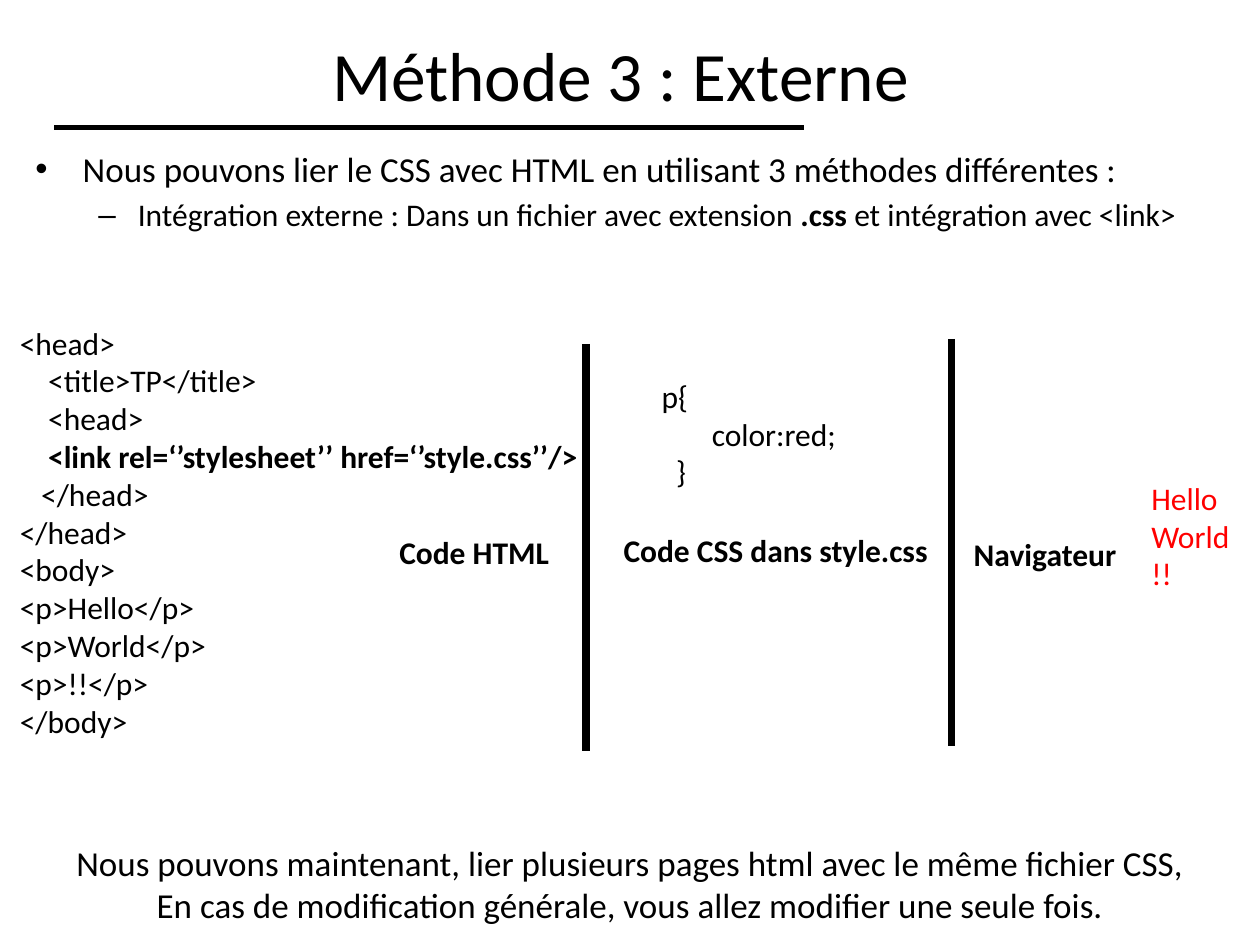
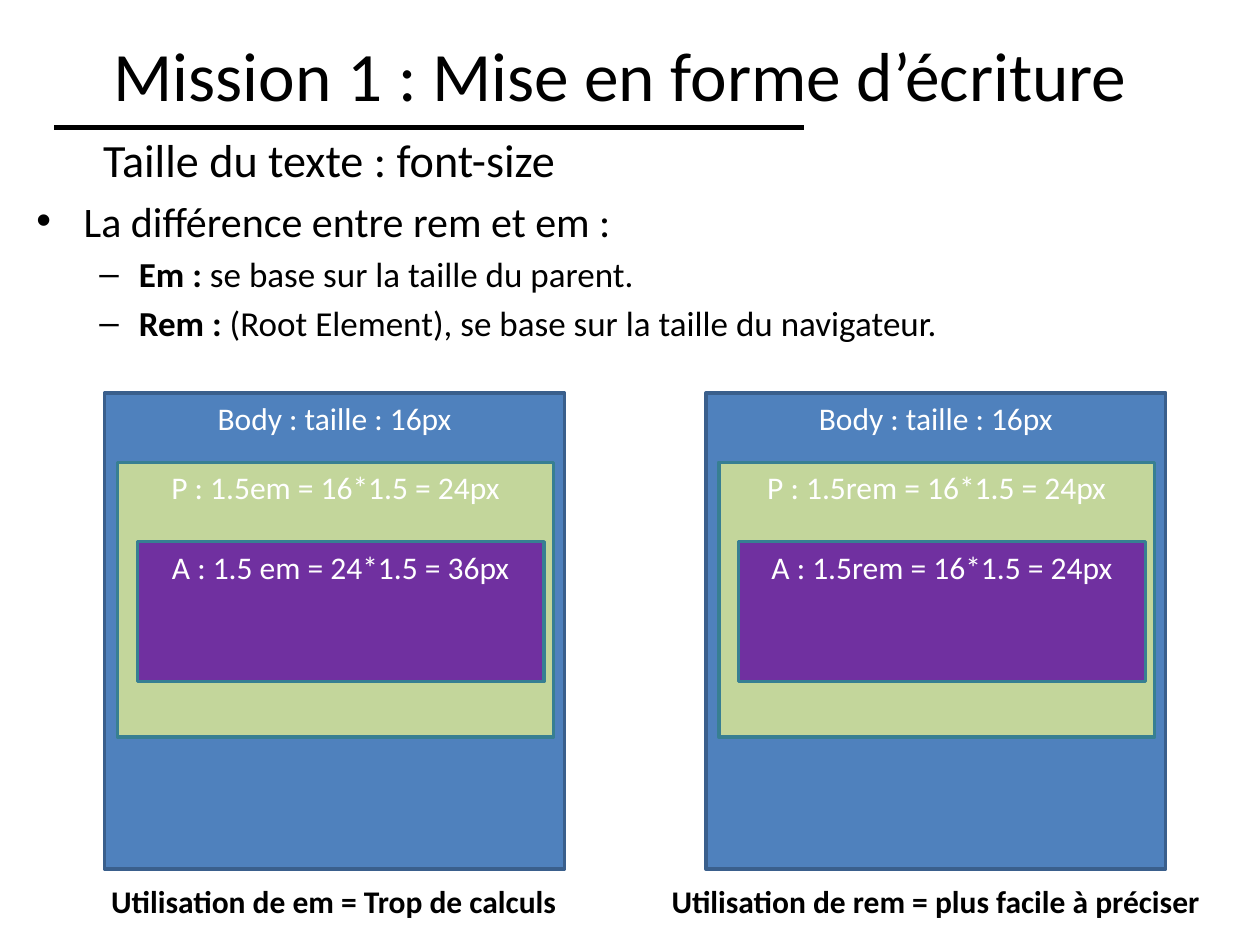
from dataclasses import dataclass

from lxml import etree
from pptx import Presentation
from pptx.dml.color import RGBColor
from pptx.enum.shapes import MSO_CONNECTOR, MSO_SHAPE
from pptx.enum.text import MSO_ANCHOR, MSO_AUTO_SIZE, PP_ALIGN
from pptx.oxml.ns import qn
from pptx.util import Cm, Pt

LEFT, CENTER = PP_ALIGN.LEFT, PP_ALIGN.CENTER
TOP, MIDDLE = MSO_ANCHOR.TOP, MSO_ANCHOR.MIDDLE
NO_FIT, GROW = MSO_AUTO_SIZE.NONE, MSO_AUTO_SIZE.SHAPE_TO_FIT_TEXT
RECT, STRAIGHT = MSO_SHAPE.RECTANGLE, MSO_CONNECTOR.STRAIGHT


@dataclass(frozen=True)
class Theme:
    font: str = "Calibri"
    # Colours
    ink: str = "000000"
    white: str = "FFFFFF"
    red: str = "FF0000"
    blue: str = "4F81BD"
    blue_edge: str = "3A5F8C"
    green: str = "C3D69B"
    purple: str = "7030A0"
    teal_edge: str = "377F92"
    # Type sizes and line widths
    title: float = 39.6
    subtitle: float = 26.4
    large: float = 24
    medium: float = 20
    normal: float = 18
    rule: float = 3
    divider: float = 4.5
    edge: float = 2


class Deck:
    """Holds the style and the slide being built."""

    def __init__(self, theme):
        self.t = theme
        self.prs = Presentation()
        self.prs.slide_width, self.prs.slide_height = Cm(25.4), Cm(19.05)
        self.s = None

    def _runs(self, p, runs, size, color=None, bold=False):
        """Add plain strings, or (text, bold) pairs, to a paragraph."""
        for item in runs:
            text, is_bold = (item, bold) if isinstance(item, str) else item
            r = p.add_run()
            r.text = text
            r.font.name = self.t.font
            r.font.size = Pt(size)
            r.font.bold = is_bold
            r.font.color.rgb = RGBColor.from_string(color or self.t.ink)

    def _place(self, sp, box):
        sp.left, sp.top, sp.width, sp.height = map(Cm, box)
        sp.text_frame.auto_size = NO_FIT
        return sp.text_frame

    def slide(self, title):
        """Start a slide with its title and the rule below it."""
        self.s = self.prs.slides.add_slide(self.prs.slide_layouts[1])
        tf = self._place(self.s.shapes.title, (0.71, 0.89, 23.6, 1.19))
        tf.vertical_anchor = MIDDLE
        tf.paragraphs[0].alignment = CENTER
        self._runs(tf.paragraphs[0], [title], self.t.title)
        self.line(1.09, 2.57, 16.21, 2.57, self.t.rule)

    def bullets(self, box, items, sizes):
        """Fill the body with (level, runs) items; sizes go by level."""
        tf = self._place(self.s.placeholders[1], box)
        for i, (level, runs) in enumerate(items):
            p = tf.add_paragraph() if i else tf.paragraphs[0]
            p.level = level
            self._runs(p, runs, sizes[level])

    def text(self, box, lines, size=None, color=None, bold=False, align=LEFT,
             anchor=TOP, wrap=True, fit=NO_FIT, before=0):
        """Add a text box from (indent in cm, runs) lines."""
        tf = self.s.shapes.add_textbox(*map(Cm, box)).text_frame
        tf.word_wrap, tf.auto_size, tf.vertical_anchor = wrap, fit, anchor
        for i, (indent, runs) in enumerate(lines):
            p = tf.add_paragraph() if i else tf.paragraphs[0]
            p.alignment = align
            p.space_before = Pt(before)
            if indent:
                p._p.get_or_add_pPr().set("marL", str(Cm(indent)))
            self._runs(p, runs, size or self.t.normal, color, bold)

    def label(self, box, text):
        self.text(box, [(0, [text])], bold=True, wrap=False, fit=GROW)

    def line(self, x1, y1, x2, y2, width):
        c = self.s.shapes.add_connector(STRAIGHT, *map(Cm, (x1, y1, x2, y2)))
        c.line.color.rgb = RGBColor.from_string(self.t.ink)
        c.line.width = Pt(width)
        etree.SubElement(c.element.spPr, qn("a:effectLst"))

    def rect(self, box, text, fill, edge):
        sp = self.s.shapes.add_shape(RECT, *map(Cm, box))
        sp.shadow.inherit = False
        sp.fill.solid()
        sp.fill.fore_color.rgb = RGBColor.from_string(fill)
        sp.line.color.rgb = RGBColor.from_string(edge)
        sp.line.width = Pt(self.t.edge)
        tf = sp.text_frame
        tf.word_wrap, tf.vertical_anchor = True, TOP
        tf.paragraphs[0].alignment = CENTER
        self._runs(tf.paragraphs[0], [text], self.t.normal, self.t.white)


def external_css(d):
    t = d.t
    d.slide("Méthode 3 : Externe")
    d.bullets((0.46, 2.84, 24.51, 6.4), [
        (0, ["Nous pouvons lier le CSS avec HTML en utilisant 3 méthodes différentes :"]),
        (1, ["Intégration externe : Dans un fichier avec extension ",
             (".css ", True), "et intégration avec <link>"]),
    ], (t.medium, t.normal))

    # HTML code, CSS code and browser result
    d.text((0.15, 6.4, 11.86, 8.71), [
        (0, ["<head>"]),
        (0.57, ["<title>TP</title>"]),
        (0.57, ["<head>"]),
        (0.57, [("<link rel=‘’stylesheet’’ href=‘’style.css’’/>", True)]),
        (0.43, ["</head>"]),
        (0, ["</head>"]),
        (0, ["<body>"]),
        (0, ["<p>Hello</p>"]),
        (0, ["<p>World</p>"]),
        (0, ["<p>!!</p>"]),
        (0, ["</body>"]),
    ], wrap=False, fit=GROW)
    d.text((12.95, 7.47, 4.22, 2.57),
           [(0.14, ["p{"]), (1.15, ["color:red;"]), (0.43, ["}"])],
           wrap=False, fit=GROW)
    d.text((22.96, 9.53, 2.11, 2.57),
           [(0, [word]) for word in ("Hello", "World", "!!")],
           color=t.red, wrap=False, fit=GROW)

    # Column labels and dividers
    d.label((7.8, 10.62, 3.53, 1.02), "Code HTML")
    d.label((12.32, 10.59, 6.68, 1.02), "Code CSS dans style.css")
    d.label((19.38, 10.67, 3.4, 1.02), "Navigateur")
    for x, y in ((11.81, 6.93), (19.18, 6.83)):
        d.line(x, y, x, y + 8.2, t.divider)

    # Conclusion
    d.text((1.12, 16.84, 23.16, 3.38), [
        (0, ["Nous pouvons maintenant, lier plusieurs pages html avec le même "
             "fichier CSS, En cas de modification générale, vous allez modifier "
             "une seule fois."]),
    ], t.medium, align=CENTER, before=4)


def text_size(d):
    t = d.t
    d.slide("Mission 1 : Mise en forme d’écriture")
    d.text((1.83, 2.62, 23.6, 1.19), [(0, ["Taille du texte : font-size"])],
           t.subtitle, anchor=MIDDLE)
    d.bullets((0.48, 3.81, 24.41, 3.71), [
        (0, ["La différence entre rem et em :"]),
        (1, [("Em : ", True), "se base sur la taille du parent."]),
        (1, [("Rem : ", True), "(Root Element), se base sur la taille du navigateur."]),
    ], (t.large, t.medium))

    # Nested boxes: offset from the outer corner, size, fill, edge
    nesting = (
        (0, 0, 9.27, 9.6, t.blue, t.blue_edge),
        (0.26, 1.4, 8.79, 5.54, t.green, t.teal_edge),
        (0.66, 3, 8.2, 2.82, t.purple, t.teal_edge),
    )
    columns = (
        (2.11, ("Body : taille : 16px", "P : 1.5em = 16*1.5 = 24px",
                "A : 1.5 em = 24*1.5 = 36px"),
         1.65, 10.16, "Utilisation de em = Trop de calculs"),
        (14.23, ("Body : taille : 16px", "P : 1.5rem = 16*1.5 = 24px",
                 "A : 1.5rem = 16*1.5 = 24px"),
         13.06, 11.61, "Utilisation de rem = plus facile à préciser"),
    )
    for left, texts, caption_left, caption_width, caption in columns:
        for (dx, dy, w, h, fill, edge), text in zip(nesting, texts):
            d.rect((left + dx, 7.92 + dy, w, h), text, fill, edge)
        d.text((caption_left, 17.65, caption_width, 1.02), [(0, [caption])],
               bold=True, align=CENTER, fit=GROW)


def main():
    d = Deck(Theme())
    external_css(d)
    text_size(d)
    d.prs.save("out.pptx")


if __name__ == "__main__":
    main()
